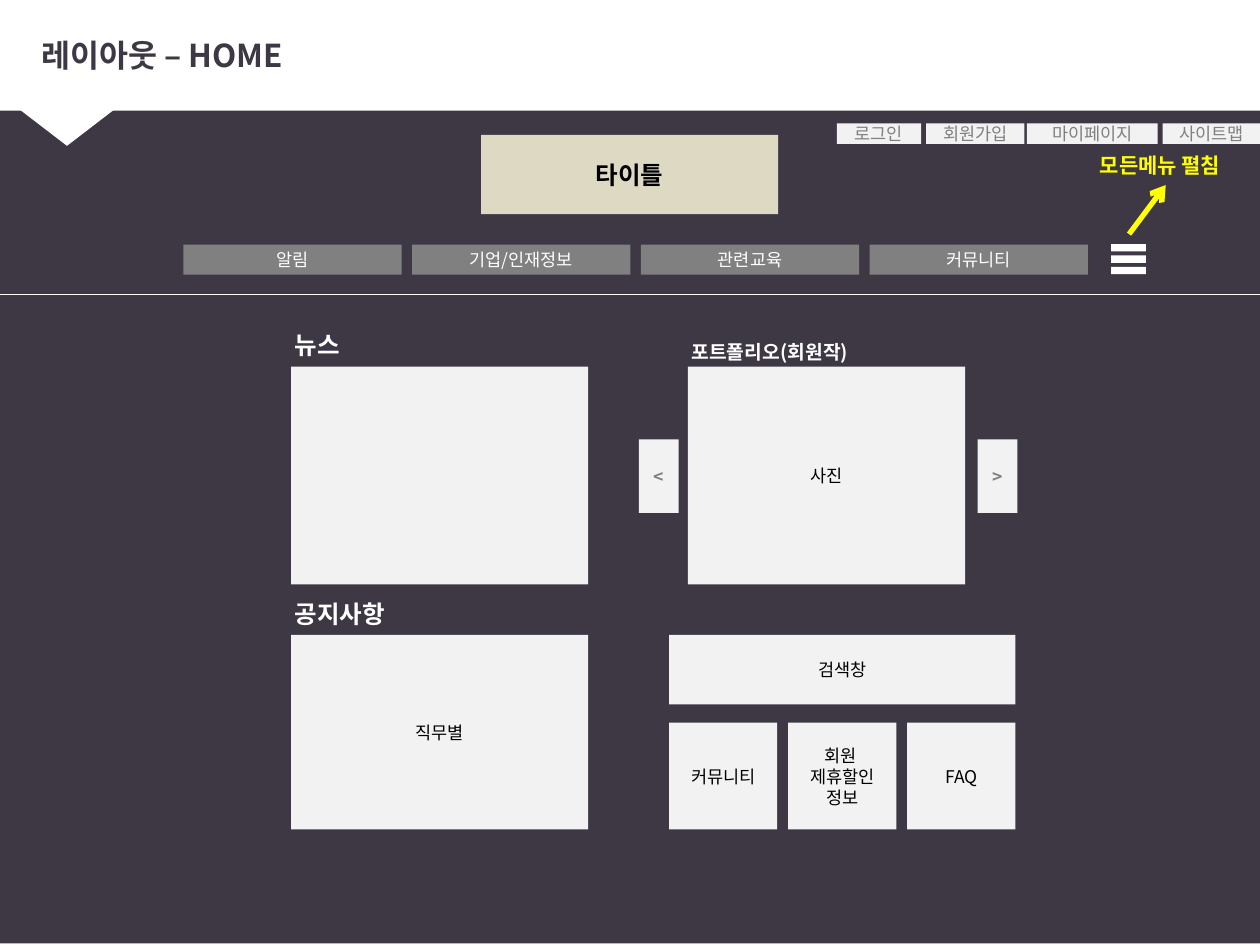
from dataclasses import dataclass

from lxml import etree
from pptx import Presentation
from pptx.dml.color import RGBColor
from pptx.enum.shapes import MSO_CONNECTOR, MSO_SHAPE
from pptx.enum.text import MSO_ANCHOR, MSO_AUTO_SIZE, PP_ALIGN
from pptx.oxml.ns import qn
from pptx.util import Cm, Pt

RECTANGLE = MSO_SHAPE.RECTANGLE
TRIANGLE = MSO_SHAPE.ISOSCELES_TRIANGLE
STRAIGHT = MSO_CONNECTOR.STRAIGHT
LEFT, CENTER = PP_ALIGN.LEFT, PP_ALIGN.CENTER
TOP, MIDDLE = MSO_ANCHOR.TOP, MSO_ANCHOR.MIDDLE
NO_FIT = MSO_AUTO_SIZE.NONE

FONT = "Noto Sans CJK KR"
DARK, WHITE, BLACK = "3D3844", "FFFFFF", "000000"
GRAY, PALE, BEIGE, YELLOW = "808080", "F2F2F2", "DDD9C3", "FFFF00"


@dataclass
class Box:
    left: float
    top: float
    width: float
    height: float
    text: str = ""
    fill: str = PALE
    color: str = BLACK
    size: float = 10
    bold: bool = False


@dataclass
class Label:
    left: float
    top: float
    width: float
    height: float
    text: str
    size: float = 14
    color: str = WHITE


def rgb(value: str) -> RGBColor:
    return RGBColor.from_string(value)


def write(frame, text: str, size: float, color: str, bold: bool, align, anchor) -> None:
    frame.text = text
    frame.word_wrap = True
    frame.auto_size = NO_FIT
    frame.vertical_anchor = anchor
    for paragraph in frame.paragraphs:
        paragraph.alignment = align
        for run in paragraph.runs:
            run.font.name = FONT
            run.font.size = Pt(size)
            run.font.bold = bold
            run.font.color.rgb = rgb(color)
            etree.SubElement(run.font._element, qn("a:ea")).set("typeface", FONT)


def draw_box(slide, box: Box, kind=RECTANGLE):
    shape = slide.shapes.add_shape(
        kind, Cm(box.left), Cm(box.top), Cm(box.width), Cm(box.height))
    shape.shadow.inherit = False
    shape.fill.solid()
    shape.fill.fore_color.rgb = rgb(box.fill)
    shape.line.fill.background()
    if box.text:
        write(shape.text_frame, box.text, box.size, box.color, box.bold, CENTER, MIDDLE)
    return shape


def draw_label(slide, label: Label) -> None:
    area = slide.shapes.add_textbox(
        Cm(label.left), Cm(label.top), Cm(label.width), Cm(label.height))
    write(area.text_frame, label.text, label.size, label.color, True, LEFT, TOP)


def draw_line(slide, start: tuple[float, float], end: tuple[float, float],
              color: str, width: float, arrow: bool = False) -> None:
    line = slide.shapes.add_connector(
        STRAIGHT, Cm(start[0]), Cm(start[1]), Cm(end[0]), Cm(end[1]))
    line.line.color.rgb = rgb(color)
    line.line.width = Pt(width)
    if arrow:
        etree.SubElement(line.line._get_or_add_ln(), qn("a:tailEnd")).set("type", "arrow")
    etree.SubElement(line._element.spPr, qn("a:effectLst"))


def draw_heading(slide) -> None:
    draw_box(slide, Box(0, -0.03, 25.76, 19.05, fill=DARK))
    draw_box(slide, Box(-0.08, -0.05, 25.83, 2.28, fill=WHITE))
    pointer = draw_box(slide, Box(-0.5, 1.52, 3.7, 1.42, fill=WHITE), TRIANGLE)
    pointer.rotation = 180
    title = slide.shapes.title
    title.left, title.top = Cm(0.58), Cm(0.33)
    title.width, title.height = Cm(24.54), Cm(1.57)
    write(title.text_frame, "레이아웃 – HOME", 18, DARK, True, LEFT, MIDDLE)
    slide.shapes._spTree.append(title._element)


def main() -> None:
    deck = Presentation()
    deck.slide_width, deck.slide_height = Cm(25.4), Cm(19.05)
    slide = deck.slides.add_slide(deck.slide_layouts[5])
    draw_heading(slide)

    menus = ["알림", "기업/인재정보", "관련교육", "커뮤니티"]
    shortcuts = ["커뮤니티", "회원 \n제휴할인 정보", "FAQ"]
    utilities = [(16.87, 1.7, "로그인"), (18.67, 1.98, "회원가입"),
                 (20.7, 2.64, "마이페이지"), (23.44, 1.96, "사이트맵")]
    pagers = [(12.88, "<"), (19.71, ">")]

    boxes = [Box(3.7 + 4.61 * i, 4.93, 4.4, 0.61, menu, GRAY, WHITE)
             for i, menu in enumerate(menus)]
    boxes += [
        Box(9.7, 2.72, 5.99, 1.6, "타이틀", BEIGE, size=14, bold=True),
        Box(5.87, 7.39, 5.99, 4.39),
        Box(13.87, 7.39, 5.59, 4.39, "사진"),
        Box(5.87, 12.8, 5.99, 3.92, "직무별"),
        Box(13.49, 12.8, 6.98, 1.4, "검색창"),
    ]
    boxes += [Box(13.49 + 2.4 * i, 14.57, 2.18, 2.15, shortcut)
              for i, shortcut in enumerate(shortcuts)]
    boxes += [Box(left, 8.86, 0.8, 1.48, sign, color=GRAY, bold=True)
              for left, sign in pagers]
    boxes += [Box(left, 2.49, width, 0.41, utility, color=GRAY)
              for left, width, utility in utilities]
    boxes += [Box(22.4, 4.92 + 0.23 * i, 0.7, 0.15, fill=WHITE) for i in range(3)]
    for box in boxes:
        draw_box(slide, box)

    labels = [
        Label(5.69, 6.53, 1.83, 0.86, "뉴스"),
        Label(5.69, 11.96, 2.92, 0.86, "공지사항"),
        Label(13.69, 6.73, 5.28, 0.74, "포트폴리오(회원작)", 11),
        Label(21.92, 2.95, 3.48, 0.76, "모든메뉴 펼침", 12, YELLOW),
    ]
    for label in labels:
        draw_label(slide, label)

    draw_line(slide, (-0.08, 5.94), (25.9, 5.94), WHITE, 0.75)
    draw_line(slide, (22.76, 4.72), (23.5, 3.73), YELLOW, 3, arrow=True)

    deck.save("out.pptx")


if __name__ == "__main__":
    main()
